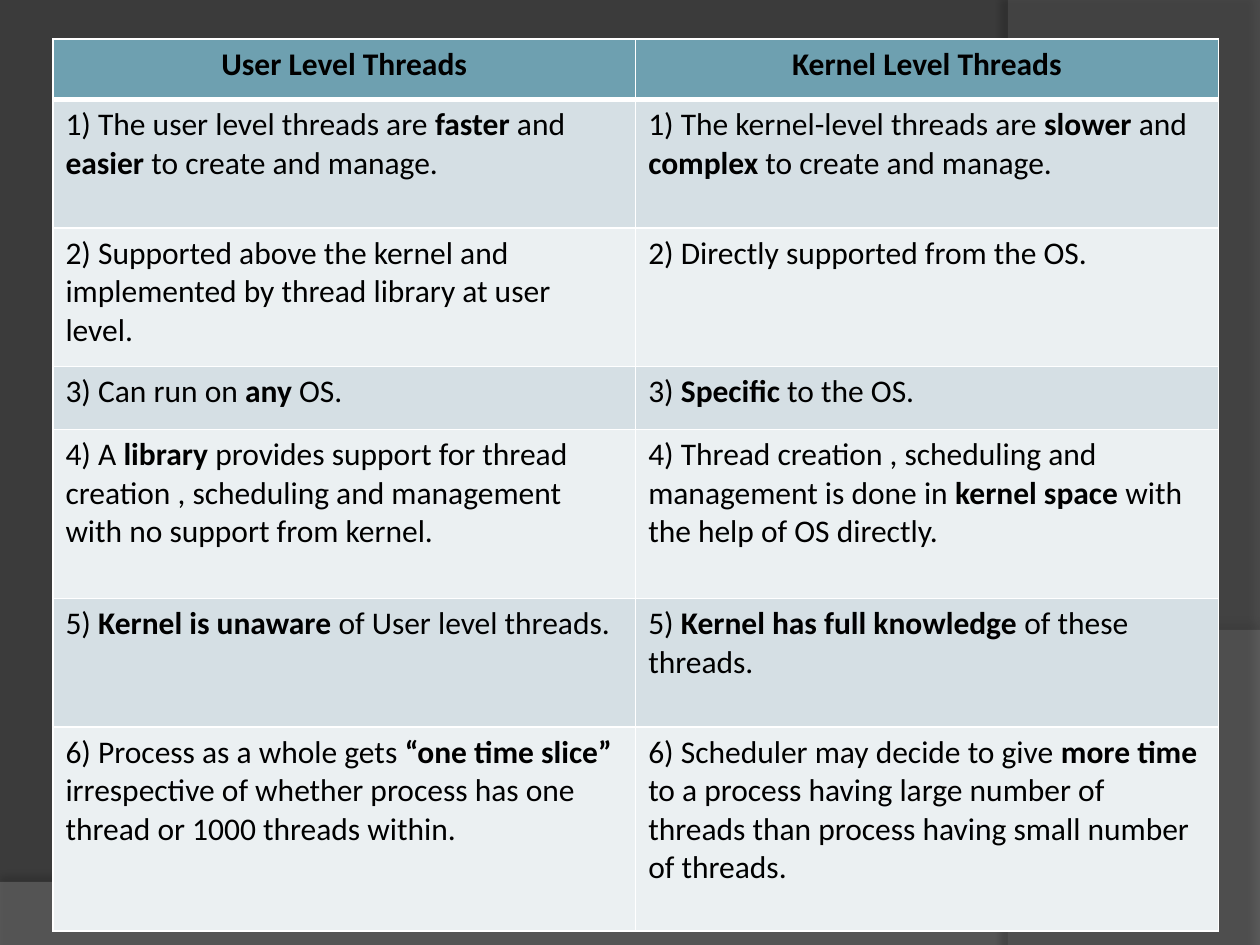
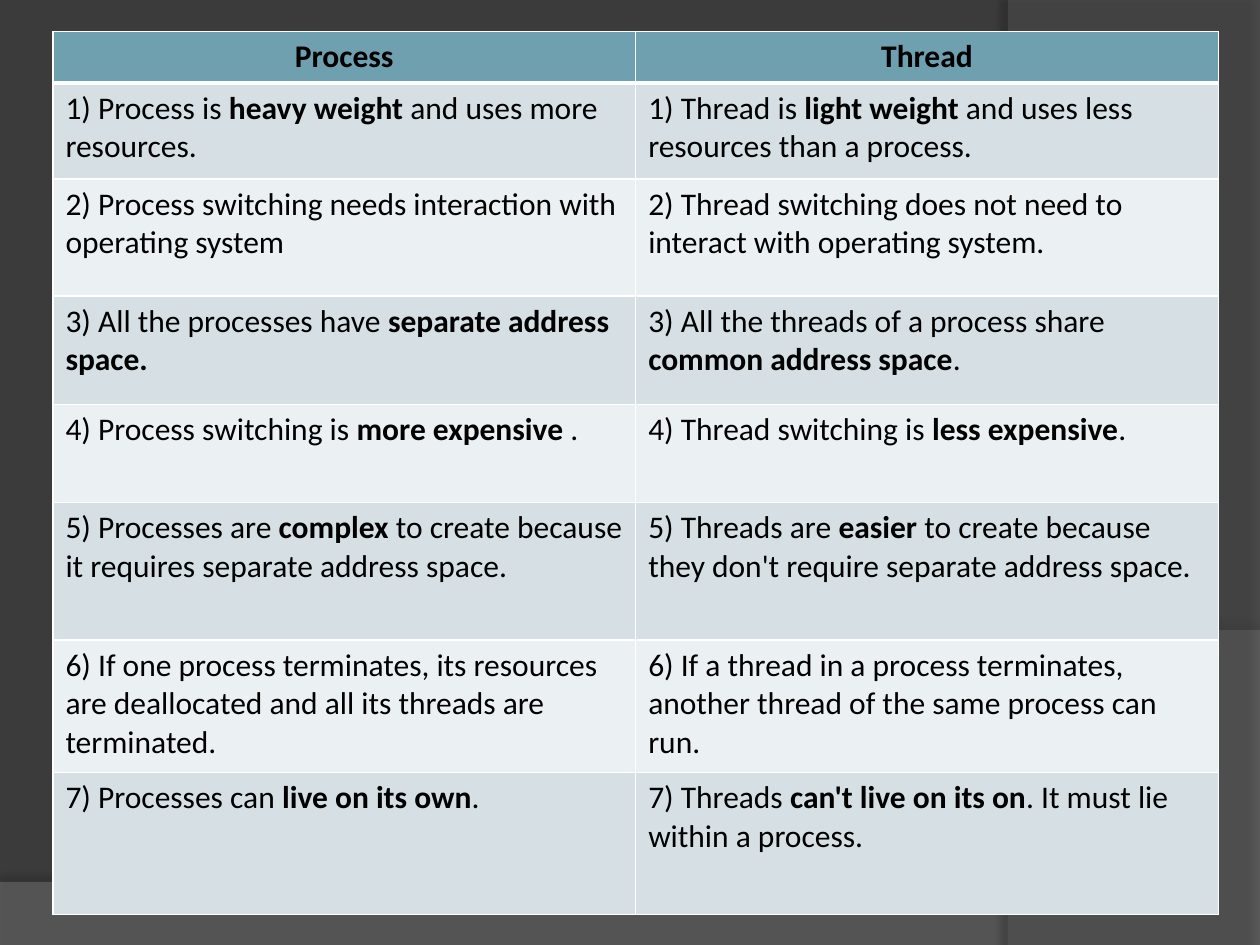
from lxml import etree
from pptx import Presentation
from pptx.dml.color import RGBColor
from pptx.enum.text import PP_ALIGN
from pptx.oxml.ns import qn
from pptx.util import Emu, Inches, Pt

CENTER, LEFT = PP_ALIGN.CENTER, PP_ALIGN.LEFT
WIDE, HIGH = 10, 7.5
EDGE, SPAN = 0.42, 9.25
BACK, HEAD, BANDS = "3B3B3B", "6EA0B0", ("D5DFE4", "EBF0F2")
INK, RULE = "000000", "FFFFFF"
FONT, SIZE = "Calibri", 18

# Words between asterisks are bold.
TABLES = [
    {
        "top": 0.31,
        "head": ("User Level Threads", "Kernel Level Threads"),
        "rows": [
            (1.02, "The user level threads are *faster* and *easier* to create and manage.",
             "The kernel-level threads are *slower* and *complex* to create and manage."),
            (1.1, "Supported above the kernel and implemented by thread library at user level.",
             "Directly supported from the OS."),
            (0.5, "Can run on *any* OS.", "*Specific* to the OS."),
            (1.34, "A *library* provides support for thread creation , scheduling and "
             "management with no support from kernel.",
             "Thread creation , scheduling and management is done in *kernel space* "
             "with the help of OS directly."),
            (1.02, "*Kernel is unaware* of User level threads.",
             "*Kernel has full knowledge* of these threads."),
            (1.62, "Process as a whole gets *“one time slice”* irrespective of whether "
             "process has one thread or 1000 threads within.",
             "Scheduler may decide to give *more time* to a process having large number "
             "of threads than process having small number of threads."),
        ],
        "tall": 0.48,
    },
    {
        "top": 0.25,
        "head": ("Process", "Thread"),
        "rows": [
            (0.76, "Process is *heavy weight* and uses more resources.",
             "Thread is *light weight* and uses less resources than a process."),
            (0.93, "Process switching needs interaction with operating system",
             "Thread switching does not need to interact with operating system."),
            (0.86, "All the processes have *separate address space.*",
             "All the threads of a process share *common address space*."),
            (0.78, "Process switching is *more expensive* .",
             "Thread switching is *less expensive*."),
            (1.09, "Processes are *complex* to create because it requires separate address space.",
             "Threads are *easier* to create because they don't require separate address space."),
            (1.05, "If one process terminates, its resources are deallocated and all its "
             "threads are terminated.",
             "If a thread in a process terminates, another thread of the same process can run."),
            (1.13, "Processes can *live on its own*.",
             "Threads *can't live on its on*. It must lie within a process."),
        ],
        "tall": 0.41,
    },
]

WAVES = [
    {"line": [(0, 7.05), (0, HIGH), (WIDE, HIGH)],
     "curve": [(WIDE, 5.2), (5.59, 7.29), (3.91, 7.19), (0, 7.05)],
     "fill": "7F7F7F", "show": 45, "shade": (35, 4, 3.5, 270)},
    {"line": [(WIDE, 0.02), (WIDE, HIGH)],
     "curve": [(8.21, HIGH), (9.35, 6.19), (10.18, 3), (8, 0)],
     "fill": "5E5E5E", "show": 40, "shade": (45, 4, 4, 180)},
]


def paint(fill, tone):
    fill.solid()
    fill.fore_color.rgb = RGBColor.from_string(tone)


def node(home, tag, **data):
    return etree.SubElement(home, qn(tag), {k: str(v) for k, v in data.items()})


def bend(ends, steps=40):
    a, b, c, d = ends
    for t in (n / steps for n in range(steps + 1)):
        u = 1 - t
        yield tuple(u**3 * p + 3 * u * u * t * q + 3 * u * t * t * r + t**3 * s
                    for p, q, r, s in zip(a, b, c, d))


def add_wave(slide, wave):
    first, *rest = wave["line"]
    pen = slide.shapes.build_freeform(*first, scale=Inches(1))
    pen.add_line_segments(rest + list(bend(wave["curve"])), close=True)
    shape = pen.convert_to_shape()
    paint(shape.fill, wave["fill"])
    shape.line.fill.background()
    shape.shadow.inherit = False
    props = shape.element.spPr
    tone = props.find(qn("a:solidFill")).find(qn("a:srgbClr"))
    node(tone, "a:alpha", val=wave["show"] * 1000)
    dark, blur, far, turn = wave["shade"]
    glow = node(props.find(qn("a:effectLst")), "a:outerShdw", blurRad=Pt(blur),
                dist=Pt(far), dir=turn * 60000, algn="ctr", rotWithShape=0)
    node(node(glow, "a:srgbClr", val=INK), "a:alpha", val=dark * 1000)


def add_edges(cell, row):
    props = cell._tc.get_or_add_tcPr()
    thick = {"L": 1, "R": 1, "T": 3 if row == 1 else 1, "B": 3 if row == 0 else 1}
    for side, size in thick.items():
        line = node(props, "a:ln" + side, w=Pt(size))
        node(node(line, "a:solidFill"), "a:srgbClr", val=RULE)


def add_text(cell, text, head):
    para = cell.text_frame.paragraphs[0]
    para.alignment = CENTER if head else LEFT
    for n, part in enumerate(text.split("*")):
        if part:
            run = para.add_run()
            run.text = part
            font = run.font
            font.name, font.size = FONT, Pt(SIZE)
            font.bold = head or n % 2 == 1
            font.color.rgb = RGBColor.from_string(INK)


def add_grid(slide, data):
    rows = [(data["tall"], *data["head"])]
    rows += [(tall, *(f"{n}) {text}" for text in pair))
             for n, (tall, *pair) in enumerate(data["rows"], 1)]
    cols = len(data["head"])
    full = sum(row[0] for row in rows)
    grid = slide.shapes.add_table(len(rows), cols, Inches(EDGE), Inches(data["top"]),
                                  Inches(SPAN), Inches(full)).table
    for col in grid.columns:
        col.width = Emu(Inches(SPAN) // cols)
    for r, (tall, *texts) in enumerate(rows):
        grid.rows[r].height = Inches(tall)
        for c, text in enumerate(texts):
            cell = grid.cell(r, c)
            add_edges(cell, r)
            paint(cell.fill, BANDS[(r - 1) % 2] if r else HEAD)
            add_text(cell, text, r == 0)


def main():
    deck = Presentation()
    deck.slide_width, deck.slide_height = Inches(WIDE), Inches(HIGH)
    paint(deck.slide_master.background.fill, BACK)
    for data in TABLES:
        slide = deck.slides.add_slide(deck.slide_layouts[6])
        for wave in WAVES:
            add_wave(slide, wave)
        add_grid(slide, data)
    deck.save("out.pptx")


if __name__ == "__main__":
    main()
